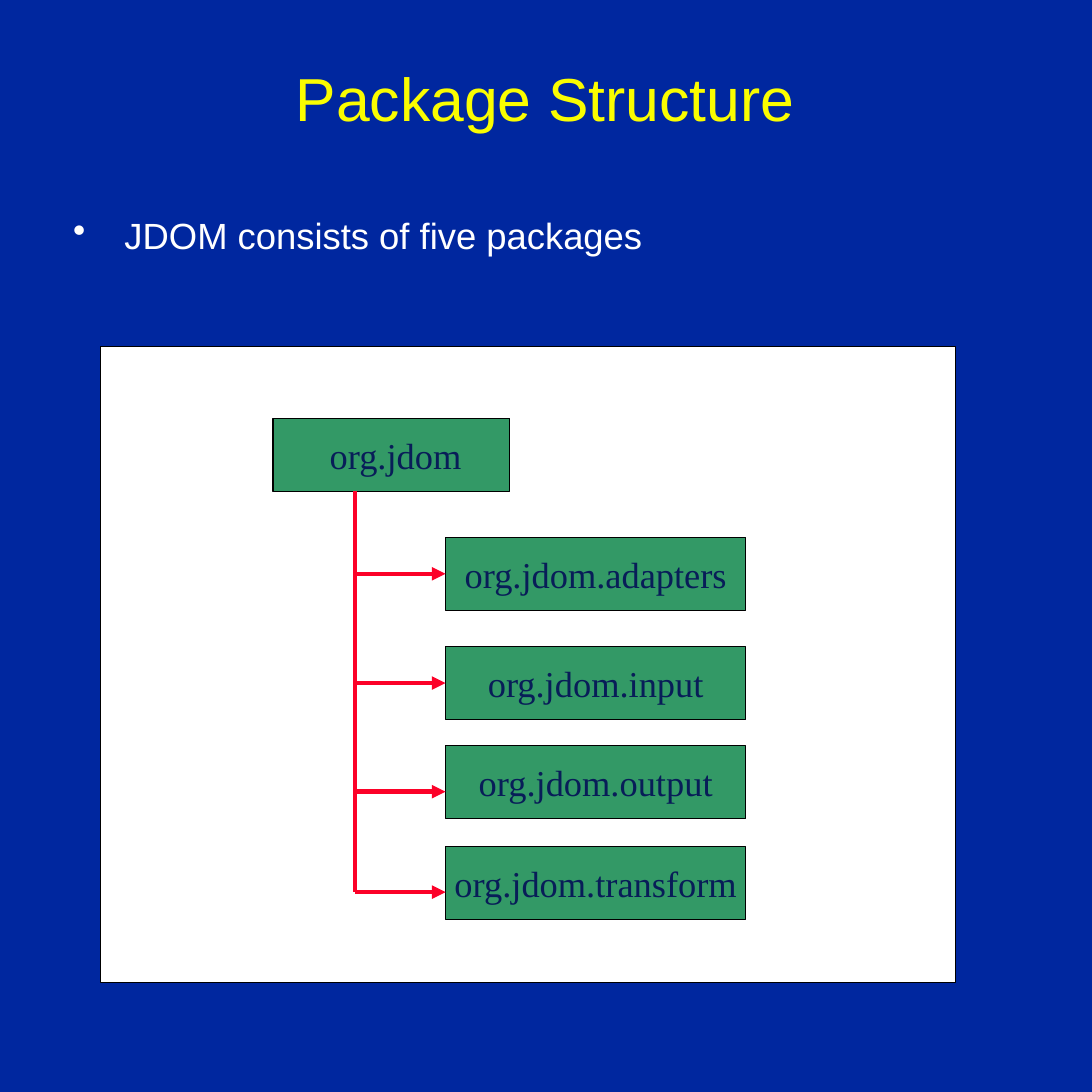
from lxml import etree
from pptx import Presentation
from pptx.dml.color import RGBColor
from pptx.enum.shapes import MSO_CONNECTOR as CONNECTOR, MSO_SHAPE as SHAPE
from pptx.enum.text import MSO_ANCHOR as ANCHOR, PP_ALIGN as ALIGN
from pptx.oxml.ns import qn
from pptx.util import Inches, Pt

COLORS = {name: RGBColor.from_string(value) for name, value in {
    "background": "00279F", "title": "FAFD00", "white": "FFFFFF", "black": "000000",
    "package": "339966", "label": "081D58", "arrow": "FC0128",
}.items()}

deck = Presentation()
deck.slide_width = deck.slide_height = Inches(10)
page = deck.slides.add_slide(deck.slide_layouts[6])
page.background.fill.solid()
page.background.fill.fore_color.rgb = COLORS["background"]


def add_box(left, top, width, height, fill, outlined=True):
    box = page.shapes.add_shape(
        SHAPE.RECTANGLE, Inches(left), Inches(top), Inches(width), Inches(height))
    box.shadow.inherit = False
    box.fill.solid()
    box.fill.fore_color.rgb = COLORS[fill]
    if outlined:
        box.line.color.rgb = COLORS["black"]
        box.line.width = Pt(0.75)
    else:
        box.line.fill.background()
    return box


def write(box, text, font, size, color, align=ALIGN.LEFT, anchor=ANCHOR.TOP, wrap=True):
    frame = box.text_frame
    frame.word_wrap = wrap
    frame.vertical_anchor = anchor
    para = frame.paragraphs[0]
    para.text = text
    para.alignment = align
    para.font.name = font
    para.font.size = Pt(size)
    para.font.color.rgb = COLORS[color]
    return para


# Heading and bullet
title = page.shapes.add_textbox(Inches(0.5), Inches(0.38), Inches(8.98), Inches(1.02))
write(title, "Package Structure", "Arial", 40, "title", ALIGN.CENTER, ANCHOR.MIDDLE)

body = page.shapes.add_textbox(Inches(0.55), Inches(1.89), Inches(8.86), Inches(0.53))
for box in (title, body):
    frame = box.text_frame
    frame.margin_left = frame.margin_right = Inches(0.12)
    frame.margin_top = frame.margin_bottom = Inches(0.06)
properties = body.text_frame.paragraphs[0]._p.get_or_add_pPr()
properties.set("marL", str(Inches(0.47)))
properties.set("indent", str(-Inches(0.47)))
etree.SubElement(properties, qn("a:buChar")).set("char", "•")
write(body, "JDOM consists of five packages", "Arial", 24, "white")

# Package tree
add_box(0.92, 3.17, 7.83, 5.83, "white")
add_box(2.5, 3.83, 2.17, 0.67, "package")
root_label = add_box(2.92, 3.92, 1.41, 0.5, "package", outlined=False)
write(root_label, "org.jdom", "Times New Roman", 24, "label", wrap=False)

TRUNK_X, CHILD_X = 3.25, 4.08
children = [  # name, box top, arrow height
    ("adapters", 4.92, 5.25),
    ("input", 5.92, 6.25),
    ("output", 6.83, 7.25),
    ("transform", 7.75, 8.17),
]
trunk = page.shapes.add_connector(
    CONNECTOR.STRAIGHT, Inches(TRUNK_X), Inches(4.5), Inches(TRUNK_X), Inches(8.17))
arrows = []
for name, top, arrow_y in children:
    child = add_box(CHILD_X, top, 2.75, 0.67, "package")
    write(child, f"org.jdom.{name}", "Times New Roman", 24, "label",
          ALIGN.CENTER, ANCHOR.MIDDLE, wrap=False)
    arrow = page.shapes.add_connector(
        CONNECTOR.STRAIGHT, Inches(TRUNK_X), Inches(arrow_y), Inches(CHILD_X), Inches(arrow_y))
    if name in ("adapters", "input"):  # the lower arrows meet their boxes below the middle
        arrow.end_connect(child, 1)
        arrow.begin_y = arrow.end_y
    arrows.append(arrow)

for line in [trunk, *arrows]:
    line.line.color.rgb = COLORS["arrow"]
    line.line.width = Pt(3)
    etree.SubElement(line._element.spPr, qn("a:effectLst"))
for arrow in arrows:
    etree.SubElement(arrow.line._get_or_add_ln(), qn("a:tailEnd")).set("type", "triangle")

deck.save("out.pptx")
